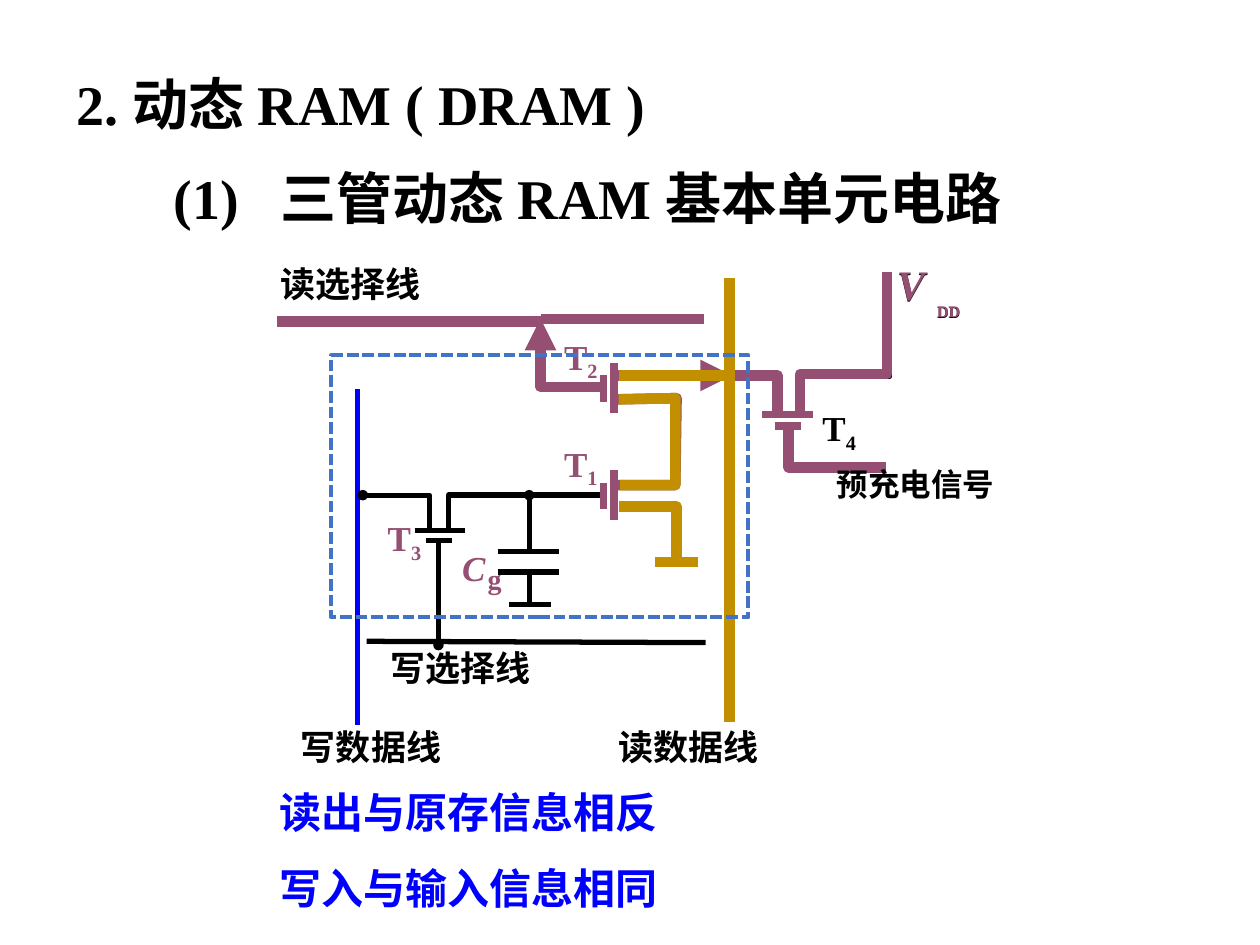
from dataclasses import dataclass

from lxml import etree
from pptx import Presentation
from pptx.dml.color import RGBColor
from pptx.enum.dml import MSO_LINE
from pptx.enum.shapes import MSO_CONNECTOR, MSO_SHAPE
from pptx.enum.text import MSO_ANCHOR, MSO_AUTO_SIZE, PP_ALIGN
from pptx.oxml.ns import qn
from pptx.slide import Slide
from pptx.util import Pt

PX = 9144
FONT = "Times New Roman"
BLACK, BLUE, PURPLE, GOLD, FRAME = "000000", "0000FF", "954F72", "C28F00", "4472C4"
DASH = MSO_LINE.SQUARE_DOT
STRAIGHT = MSO_CONNECTOR.STRAIGHT
RECTANGLE = MSO_SHAPE.RECTANGLE
TOP = MSO_ANCHOR.TOP
FIT = MSO_AUTO_SIZE.SHAPE_TO_FIT_TEXT
LEFT, CENTER = PP_ALIGN.LEFT, PP_ALIGN.CENTER
TITLE_ONLY = 5
END_SIZES = {"oval": "sm", "triangle": "med"}


@dataclass
class Wire:
    points: list[tuple[int, int]]
    color: str = BLACK
    weight: float = 3
    head: str = ""
    tail: str = ""


@dataclass
class Label:
    text: str
    box: tuple[int, int, int, int]
    size: int = 20
    color: str = BLACK
    subscript: str = ""
    italic: bool = False
    spacing: float = 1


WIRES = [
    Wire([(220, 254), (551, 253)]),
    Wire([(291, 509), (560, 510)]),
    Wire([(284, 309), (284, 575)], BLUE),
    Wire([(338, 429), (359, 429)]),
    Wire([(329, 421), (369, 421)]),
    Wire([(395, 438), (444, 438)]),
    Wire([(395, 454), (444, 454)]),
    Wire([(479, 393), (356, 393), (356, 420)]),
    Wire([(420, 393), (420, 438)], head="oval"),
    Wire([(348, 431), (348, 512)], tail="oval"),
    Wire([(420, 455), (420, 480)]),
    Wire([(404, 480), (437, 480)]),
    Wire([(341, 421), (341, 393), (288, 393)], tail="oval"),
    Wire([(635, 329), (635, 299), (706, 299), (706, 218)]),
    Wire([(615, 338), (636, 338)], PURPLE, 4.5),
    Wire([(605, 329), (645, 329)], PURPLE, 4.5),
    Wire([(626, 338), (626, 371), (703, 371)], PURPLE, 6),
    Wire([(635, 328), (635, 297), (704, 297), (704, 216)], PURPLE, 6),
    Wire([(580, 298), (617, 298), (617, 330)], PURPLE, 6),
    Wire([(220, 255), (429, 255)], PURPLE, 6),
    Wire([(479, 298), (479, 319)], PURPLE, 4.5),
    Wire([(487, 288), (487, 328)], PURPLE, 4.5),
    Wire([(487, 298), (581, 298)], PURPLE, 6, tail="triangle"),
    Wire([(479, 383), (479, 404)], PURPLE, 4.5),
    Wire([(487, 373), (487, 413)], PURPLE, 4.5),
    Wire([(487, 317), (537, 316), (536, 385), (488, 385)], PURPLE, 6),
    Wire([(579, 296), (579, 573)], GOLD, 6),
    Wire([(429, 253), (429, 307), (479, 307)], PURPLE, 6, head="triangle"),
    Wire([(429, 253), (559, 253)], PURPLE, 6),
    Wire([(579, 296), (579, 221)], GOLD, 6),
    Wire([(491, 298), (583, 298)], GOLD, 6),
    Wire([(491, 317), (536, 316), (536, 385), (492, 385)], GOLD, 6),
    Wire([(491, 402), (537, 402), (537, 446)], GOLD, 6),
    Wire([(520, 446), (554, 446)], GOLD, 6),
]

LABELS = [
    Label("预充电信号", (654, 364, 145, 40), 18),
    Label("读选择线", (213, 206, 131, 42), spacing=0.95),
    Label("写数据线", (229, 571, 131, 44)),
    Label("写选择线", (300, 513, 131, 39), spacing=0.85),
    Label("读数据线", (481, 571, 131, 44)),
    Label("", (731, 220, 44, 41), 16, subscript="DD"),
    Label("V", (702, 201, 42, 50), 24, italic=True),
    Label("", (731, 219, 44, 41), 16, PURPLE, "DD"),
    Label("V", (702, 200, 42, 50), 24, PURPLE, italic=True),
    Label("C", (357, 429, 38, 44), 20, PURPLE, italic=True),
    Label("g", (377, 441, 31, 37), 16, PURPLE),
    Label("T", (640, 318, 52, 48), subscript="4"),
    Label("T", (295, 405, 52, 48), color=PURPLE, subscript="3"),
    Label("T", (435, 261, 52, 48), color=PURPLE, subscript="2"),
    Label("T", (435, 346, 52, 48), color=PURPLE, subscript="1"),
]


def rgb(color: str) -> RGBColor:
    return RGBColor.from_string(color)


def scaled(*lengths: int) -> list[int]:
    return [length * PX for length in lengths]


def write_text(box, text: str, *, size: int, color: str = BLACK, subscript: str = "",
               italic: bool = False, align=LEFT, spacing: float = 1,
               before: int = 0, wrap: bool = True, tab: int = 0) -> None:
    frame = box.text_frame
    frame.word_wrap = wrap
    frame.auto_size = FIT
    frame.vertical_anchor = TOP
    for index, line in enumerate(text.split("\n")):
        para = frame.add_paragraph() if index else frame.paragraphs[0]
        para.alignment = align
        if spacing != 1:
            para.line_spacing = spacing
        if index:
            para.space_before = Pt(before)
        if tab:
            stops = etree.SubElement(para._p.get_or_add_pPr(), qn("a:tabLst"))
            etree.SubElement(stops, qn("a:tab"), pos=str(tab * PX), algn="l")
        for content, baseline in ((line, 0), (subscript, -25000)):
            if not content:
                continue
            span = para.add_run()
            span.text = content
            span.font.name = FONT
            span.font.size = Pt(size)
            span.font.bold = True
            span.font.italic = italic
            span.font.color.rgb = rgb(color)
            if baseline:
                span.font._element.set("baseline", str(baseline))


def draw_wire(page: Slide, wire: Wire) -> None:
    start, *rest = wire.points
    if len(rest) == 1:
        shape = page.shapes.add_connector(STRAIGHT, *scaled(*start, *rest[0]))
        etree.SubElement(shape._element.spPr, qn("a:effectLst"))
    else:
        builder = page.shapes.build_freeform(*start, scale=PX)
        builder.add_line_segments(rest, close=False)
        shape = builder.convert_to_shape()
        shape.fill.background()
        shape.shadow.inherit = False
    shape.line.color.rgb = rgb(wire.color)
    shape.line.width = Pt(wire.weight)
    outline = shape._element.spPr.find(qn("a:ln"))
    for tag, kind in (("a:headEnd", wire.head), ("a:tailEnd", wire.tail)):
        if kind:
            extent = END_SIZES[kind]
            etree.SubElement(outline, qn(tag), type=kind, w=extent, len=extent)


def draw_label(page: Slide, label: Label) -> None:
    box = page.shapes.add_textbox(*scaled(*label.box))
    write_text(box, label.text, size=label.size, color=label.color,
               subscript=label.subscript, italic=label.italic,
               align=CENTER, spacing=label.spacing, wrap=False)


def draw_cell_frame(page: Slide) -> None:
    frame = page.shapes.add_shape(RECTANGLE, *scaled(263, 282, 331, 208))
    frame.shadow.inherit = False
    frame.fill.background()
    frame.line.color.rgb = rgb(FRAME)
    frame.line.width = Pt(2.25)
    frame.line.dash_style = DASH


def main() -> None:
    deck = Presentation()
    deck.slide_width, deck.slide_height = scaled(1000, 750)
    page = deck.slides.add_slide(deck.slide_layouts[TITLE_ONLY])
    title = page.shapes.title
    title.left, title.top, title.width, title.height = scaled(51, 50, 504, 64)
    write_text(title, "2. 动态 RAM ( DRAM )", size=32)
    subtitle = page.shapes.add_textbox(*scaled(128, 125, 737, 64))
    write_text(subtitle, "(1)\t三管动态 RAM 基本单元电路", size=32, tab=85)
    for wire in WIRES:
        draw_wire(page, wire)
    for label in LABELS:
        draw_label(page, label)
    summary = page.shapes.add_textbox(*scaled(212, 619, 400, 111))
    write_text(summary, "读出与原存信息相反\n写入与输入信息相同", size=24, color=BLUE, before=15)
    draw_cell_frame(page)
    deck.save("out.pptx")


if __name__ == "__main__":
    main()
